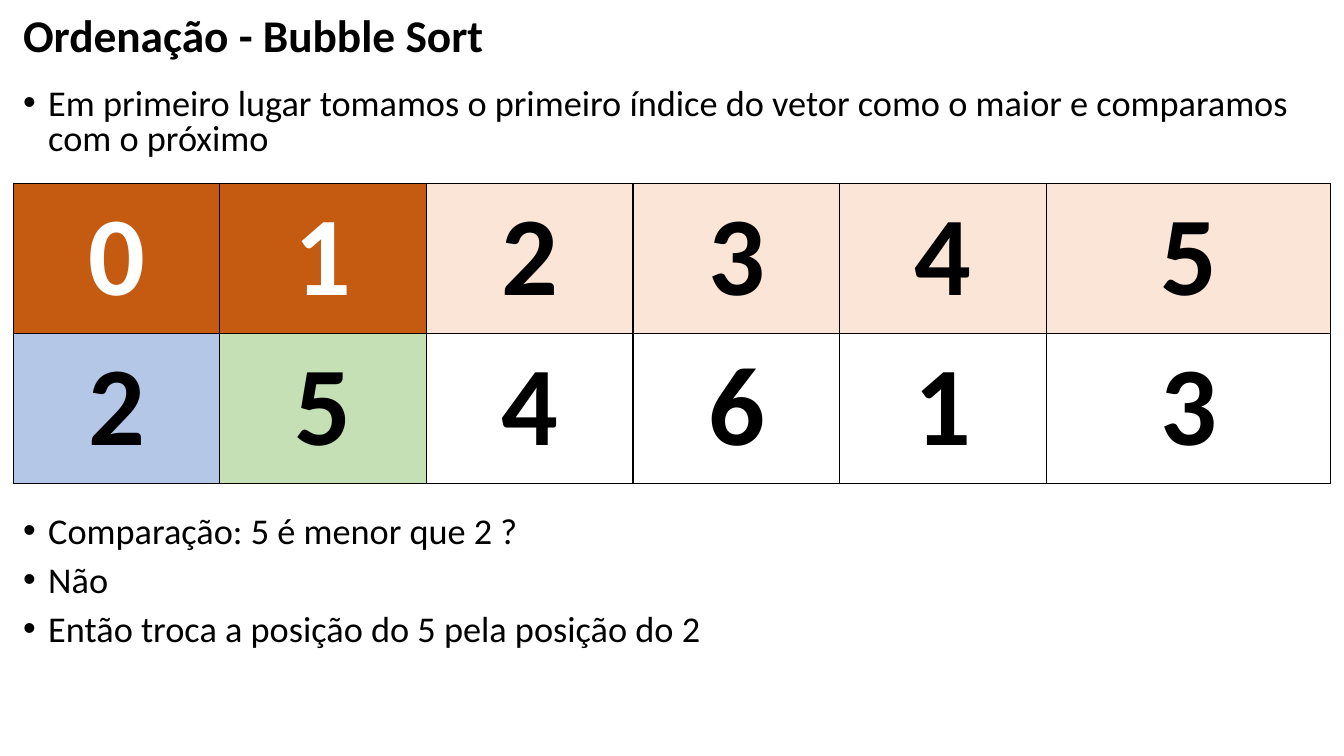
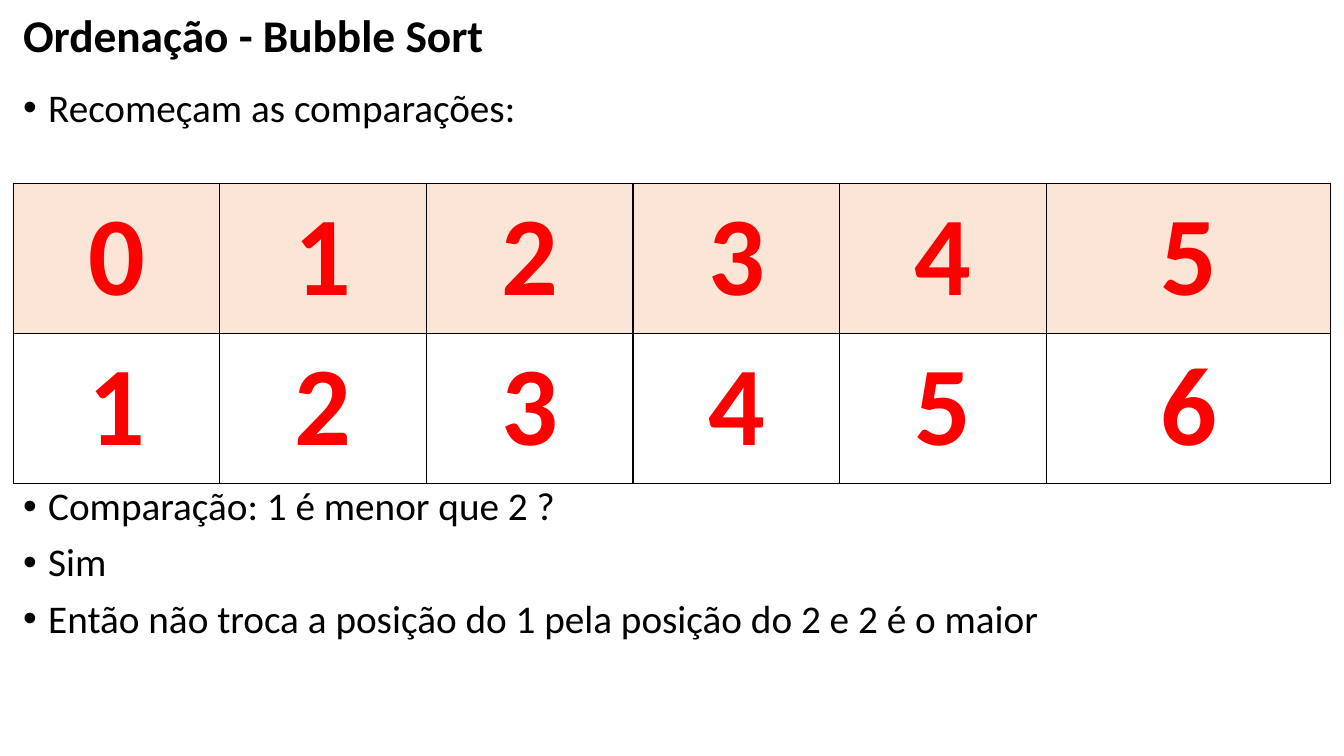
from dataclasses import dataclass

from lxml import etree
from pptx import Presentation
from pptx.dml.color import RGBColor
from pptx.enum import text as txt
from pptx.oxml import ns
from pptx.util import Inches, Pt

# Shared look
BLACK = RGBColor(0x00, 0x00, 0x00)
WHITE = RGBColor(0xFF, 0xFF, 0xFF)
RED = RGBColor(0xFF, 0x00, 0x00)
PEACH = RGBColor(0xFB, 0xE5, 0xD6)
RUST = RGBColor(0xC5, 0x5A, 0x11)
BLUE = RGBColor(0xB4, 0xC7, 0xE7)
GREEN = RGBColor(0xC5, 0xE0, 0xB4)

LEFT, WIDTH = Inches(0.13), Inches(13.05)
HEADING_TOP, HEADING_HEIGHT = Inches(0.08), Inches(0.59)
INTRO_TOP, INTRO_HEIGHT = Inches(0.83), Inches(0.9)
ARRAY_TOP, ROW_HEIGHT = Inches(1.82), Inches(1.49)
COLUMN_WIDTHS = [Inches(2.05)] * 5 + [Inches(2.82)]
ANSWER_HEIGHT = Inches(1.7)
INDENT = Inches(0.25)
BORDER_WIDTH = Pt(1)

HEADING = "Ordenação - Bubble Sort"
HEADING_FONT = {"name": "Calibri", "size": Pt(32.4), "bold": True}
BODY_FONT = {"name": "Calibri", "bold": False}
DIGIT_FONT = {"name": "Calibri", "size": Pt(80), "bold": True}


@dataclass(frozen=True)
class CellStyle:
    fill: RGBColor
    ink: RGBColor


@dataclass(frozen=True)
class Step:
    intro: str
    answers: list[str]
    answers_top: float
    text_size: float
    line_spacing: float
    values: str
    index_styles: list[CellStyle]
    value_styles: list[CellStyle]


STEPS = [
    Step(
        intro="Em primeiro lugar tomamos o primeiro índice do vetor como o maior "
              "e comparamos com o próximo",
        answers=["Comparação: 5 é menor que 2 ?", "Não",
                 "Então troca a posição do 5 pela posição do 2"],
        answers_top=5.08, text_size=25.9, line_spacing=0.8, values="254613",
        index_styles=[CellStyle(RUST, WHITE)] * 2 + [CellStyle(PEACH, BLACK)] * 4,
        value_styles=[CellStyle(BLUE, BLACK), CellStyle(GREEN, BLACK)]
        + [CellStyle(WHITE, BLACK)] * 4,
    ),
    Step(
        intro="Recomeçam as comparações:",
        answers=["Comparação: 1 é menor que 2 ?", "Sim",
                 "Então não troca a posição do 1 pela posição do 2 e 2 é o maior"],
        answers_top=4.78, text_size=28, line_spacing=0.9, values="123456",
        index_styles=[CellStyle(PEACH, RED)] * 6,
        value_styles=[CellStyle(WHITE, RED)] * 6,
    ),
]


# Text
def set_font(font, formats: dict, color: RGBColor) -> None:
    for attribute, value in formats.items():
        setattr(font, attribute, value)
    font.color.rgb = color


def add_text_frame(slide, top: int, height: int):
    frame = slide.shapes.add_textbox(LEFT, top, WIDTH, height).text_frame
    frame.word_wrap = True
    return frame


def add_bullet(paragraph) -> None:
    properties = paragraph._p.get_or_add_pPr()
    properties.set("marL", str(INDENT))
    properties.set("indent", str(-INDENT))
    etree.SubElement(properties, ns.qn("a:buFont"), typeface="Arial")
    etree.SubElement(properties, ns.qn("a:buChar"), char="•")


def add_heading(slide) -> None:
    frame = add_text_frame(slide, HEADING_TOP, HEADING_HEIGHT)
    frame.vertical_anchor = txt.MSO_ANCHOR.MIDDLE
    paragraph = frame.paragraphs[0]
    paragraph.line_spacing = 0.9
    run = paragraph.add_run()
    run.text = HEADING
    set_font(run.font, HEADING_FONT, BLACK)


def add_bullets(slide, lines: list[str], top: int, height: int, step: Step) -> None:
    frame = add_text_frame(slide, top, height)
    for position, line in enumerate(lines):
        paragraph = frame.add_paragraph() if position else frame.paragraphs[0]
        paragraph.line_spacing = step.line_spacing
        paragraph.space_before = Pt(10)
        add_bullet(paragraph)
        run = paragraph.add_run()
        run.text = line
        set_font(run.font, BODY_FONT | {"size": Pt(step.text_size)}, BLACK)


# Array table
def add_borders(cell) -> None:
    properties = cell._tc.get_or_add_tcPr()
    for position, side in enumerate(("lnL", "lnR", "lnT", "lnB")):
        border = etree.Element(ns.qn(f"a:{side}"), w=str(BORDER_WIDTH))
        fill = etree.SubElement(border, ns.qn("a:solidFill"))
        etree.SubElement(fill, ns.qn("a:srgbClr"), val=str(BLACK))
        properties.insert(position, border)


def fill_cell(cell, digit: str, style: CellStyle) -> None:
    cell.fill.solid()
    cell.fill.fore_color.rgb = style.fill
    add_borders(cell)
    paragraph = cell.text_frame.paragraphs[0]
    paragraph.alignment = txt.PP_ALIGN.CENTER
    run = paragraph.add_run()
    run.text = digit
    set_font(run.font, DIGIT_FONT, style.ink)


def add_array(slide, step: Step) -> None:
    rows = [("012345", step.index_styles), (step.values, step.value_styles)]
    array = slide.shapes.add_table(
        len(rows), len(COLUMN_WIDTHS), LEFT, ARRAY_TOP,
        sum(COLUMN_WIDTHS), ROW_HEIGHT * len(rows)).table
    array.first_row = array.horz_banding = False
    for column, width in zip(array.columns, COLUMN_WIDTHS):
        column.width = width
    for row, (digits, styles) in enumerate(rows):
        array.rows[row].height = ROW_HEIGHT
        for column, (digit, style) in enumerate(zip(digits, styles)):
            fill_cell(array.cell(row, column), digit, style)


# Slides
def add_step(deck, step: Step) -> None:
    slide = deck.slides.add_slide(deck.slide_layouts[6])
    add_heading(slide)
    add_bullets(slide, [step.intro], INTRO_TOP, INTRO_HEIGHT, step)
    add_bullets(slide, step.answers, Inches(step.answers_top), ANSWER_HEIGHT, step)
    add_array(slide, step)


def main() -> None:
    deck = Presentation()
    deck.slide_width, deck.slide_height = Inches(13.33), Inches(7.5)
    for step in STEPS:
        add_step(deck, step)
    deck.save("out.pptx")


if __name__ == "__main__":
    main()
